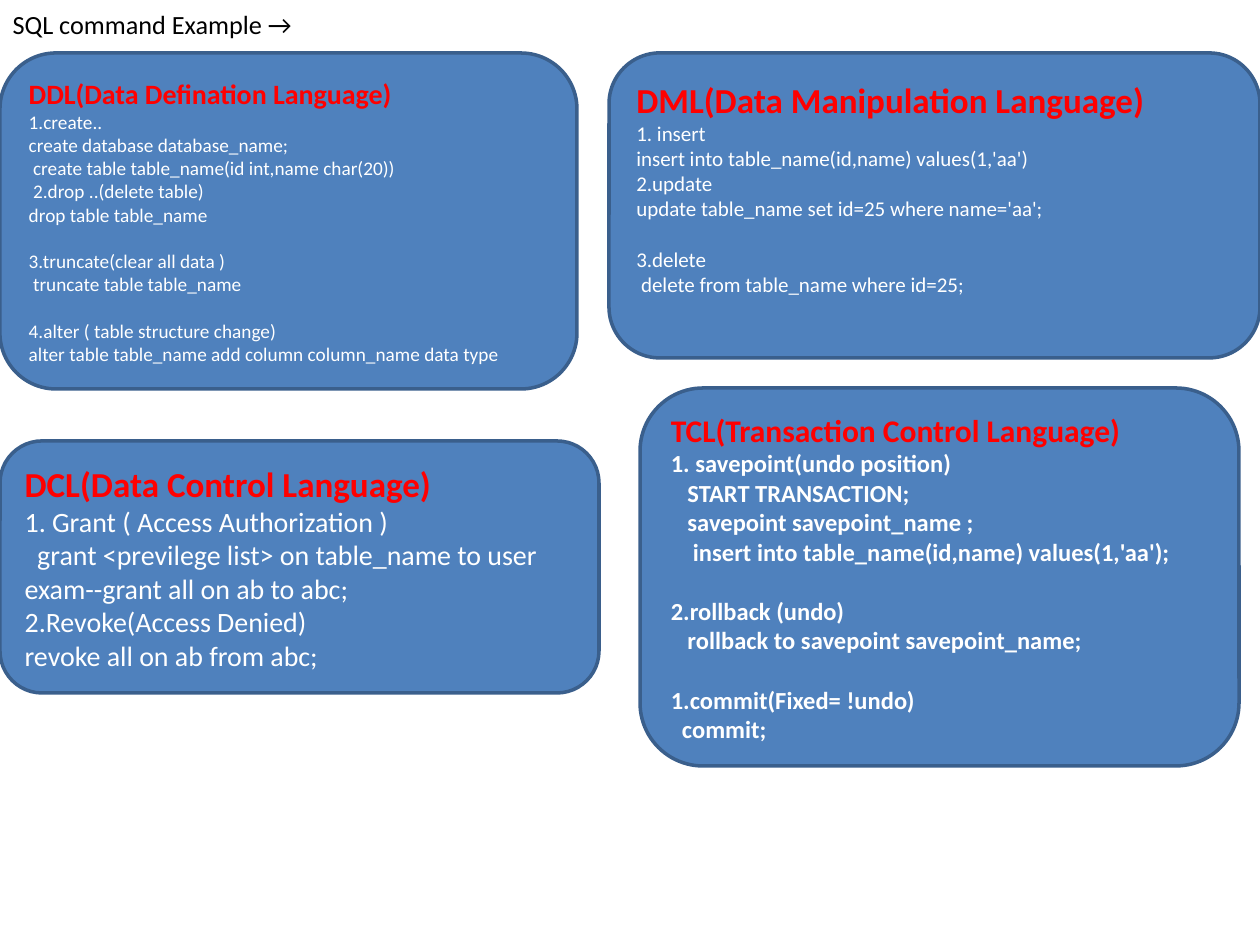
import dataclasses

import pptx
import pptx.dml.color
import pptx.enum.shapes
import pptx.enum.text
import pptx.util

PX = pptx.util.Inches(1) / 126
LINE_HEIGHT = 1.22


@dataclasses.dataclass(frozen=True)
class Theme:
    font: str = "Calibri"
    title_size: int = 15
    border_width: int = 2
    title: str = "000000"
    heading: str = "FF0000"
    body: str = "FFFFFF"
    panel: str = "4F81BD"
    border: str = "3A5F8C"


@dataclasses.dataclass(frozen=True)
class Panel:
    box: tuple[int, int, int, int]
    heading: str
    heading_size: int
    body_size: int
    groups: tuple[tuple[str, ...], ...]
    body_bold: bool = False
    bottom_inset: int = 6


THEME = Theme()

PANELS = (
    Panel((0, 53, 577, 336), "DDL(Data Defination Language)", 16, 11, (
        ("1.create..",
         "create database database_name;",
         " create table table_name(id int,name char(20))",
         " 2.drop ..(delete table)",
         "drop table table_name"),
        ("3.truncate(clear all data )",
         " truncate table table_name"),
        ("4.alter ( table structure change)",
         "alter table table_name add column column_name data type"),
    )),
    Panel((609, 53, 651, 305), "DML(Data Manipulation Language)", 20, 12, (
        ("1. insert",
         "insert into table_name(id,name) values(1,'aa')",
         "2.update",
         "update table_name set id=25 where name='aa';"),
        ("3.delete",
         " delete from table_name where id=25;"),
    ), bottom_inset=42),
    Panel((0, 441, 599, 252), "DCL(Data Control Language)", 20, 16, (
        ("1. Grant ( Access Authorization )",
         "  grant <previlege list> on table_name to user",
         "exam--grant all on ab to abc;",
         "2.Revoke(Access Denied)",
         "revoke all on ab from abc;"),
    )),
    Panel((640, 388, 599, 378), "TCL(Transaction Control Language)", 18, 14, (
        ("1. savepoint(undo position)",
         "   START TRANSACTION;",
         "   savepoint savepoint_name ;",
         "    insert into table_name(id,name) values(1,'aa');"),
        ("2.rollback (undo)",
         "   rollback to savepoint savepoint_name;"),
        ("1.commit(Fixed= !undo)",
         "  commit;"),
    ), body_bold=True),
)


def px(n: int) -> int:
    return round(n * PX)


def rgb(color: str) -> pptx.dml.color.RGBColor:
    return pptx.dml.color.RGBColor.from_string(color)


def write(p, text: str, *, size: int, color: str, bold: bool = False,
          before: float = 0) -> None:
    p.alignment = pptx.enum.text.PP_ALIGN.LEFT
    p.space_before = pptx.util.Pt(before)
    r = p.add_run()
    r.text = text
    r.font.name = THEME.font
    r.font.size = pptx.util.Pt(size)
    r.font.bold = bold
    r.font.color.rgb = rgb(color)


def draw_title(slide, text: str) -> None:
    sp = slide.shapes.title
    sp.left, sp.top, sp.width, sp.height = map(px, (0, 0, 1260, 945))
    tf = sp.text_frame
    tf.vertical_anchor = pptx.enum.text.MSO_ANCHOR.TOP
    tf.margin_top = px(8)
    write(tf.paragraphs[0], text, size=THEME.title_size, color=THEME.title)


def draw_panel(slide, panel: Panel) -> None:
    sp = slide.shapes.add_shape(
        pptx.enum.shapes.MSO_SHAPE.ROUNDED_RECTANGLE, *map(px, panel.box))
    sp.shadow.inherit = False
    sp.fill.solid()
    sp.fill.fore_color.rgb = rgb(THEME.panel)
    sp.line.color.rgb = rgb(THEME.border)
    sp.line.width = pptx.util.Pt(THEME.border_width)
    tf = sp.text_frame
    tf.word_wrap = True
    tf.vertical_anchor = pptx.enum.text.MSO_ANCHOR.MIDDLE
    tf.margin_bottom = px(panel.bottom_inset)
    write(tf.paragraphs[0], panel.heading, size=panel.heading_size,
          color=THEME.heading, bold=True)
    for g, group in enumerate(panel.groups):
        for i, line in enumerate(group):
            gap = panel.body_size * LINE_HEIGHT if g and i == 0 else 0
            write(tf.add_paragraph(), line, size=panel.body_size,
                  color=THEME.body, bold=panel.body_bold, before=gap)


def main() -> None:
    prs = pptx.Presentation()
    prs.slide_width = px(1260)
    prs.slide_height = px(945)
    slide = prs.slides.add_slide(prs.slide_layouts.get_by_name("Title Only"))
    draw_title(slide, "SQL command Example →")
    for panel in PANELS:
        draw_panel(slide, panel)
    prs.save("out.pptx")


if __name__ == "__main__":
    main()
